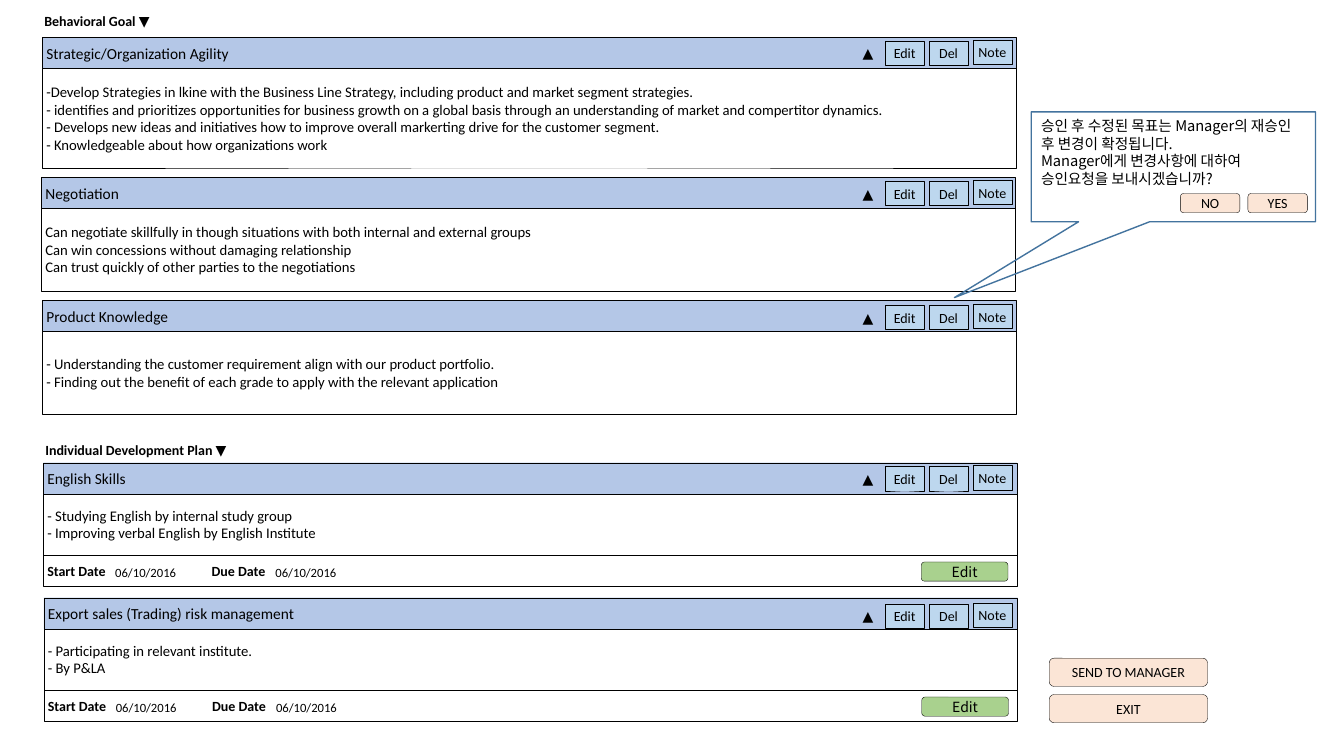
from dataclasses import dataclass

from lxml.etree import SubElement
from pptx import Presentation
from pptx.dml.color import RGBColor as Color
from pptx.enum.shapes import MSO_SHAPE as Kind
from pptx.enum.text import MSO_ANCHOR as Anchor, PP_ALIGN as Align
from pptx.oxml.ns import qn
from pptx.util import Inches, Pt


@dataclass(frozen=True)
class Theme:
    font: str = "Calibri"
    asian: str = "Noto Sans CJK KR"
    ink: str = "000000"
    head: str = "B4C7E7"
    tool: str = "BDD7EE"
    peach: str = "FBE5D6"
    green: str = "A9D18E"
    edge: str = "43739E"
    hair: float = 0.25
    title: float = 11
    body: float = 10.5
    small: float = 10
    date: float = 9


T = Theme()
CELL = 0.1  # inches per grid column and row
COLS, ROWS = 133.33, 75
BAR = 3.1   # rows of a title or date bar
WIDE = 96.6
DAY = "06/10/2016"

# column, row, body rows, row of the tools, title, lines, has dates
GOALS = [
    (4.2, 3.7, 9.9, 4.1, "Strategic/Organization Agility", [
        "-Develop Strategies in lkine with the Business Line Strategy, "
        "including product and market segment strategies.",
        "- identifies and prioritizes opportunities for business growth on a global "
        "basis through an understanding of market and compertitor dynamics.",
        "- Develops new ideas and initiatives how to improve overall "
        "markerting drive for the customer segment.",
        "- Knowledgeable about how organizations work"], False),
    (4.1, 17.6, 8.2, 18, "Negotiation", [
        "Can negotiate skillfully in though situations with both "
        "internal and external groups",
        "Can win concessions without damaging relationship",
        "Can trust quickly of other parties to the negotiations"], False),
    (4.2, 29.8, 8.2, 30.3, "Product Knowledge", [
        "- Understanding the customer requirement align with our product portfolio.",
        "- Finding out the benefit of each grade to apply with the "
        "relevant application"], False),
    (4.3, 45.9, 6.1, 46.3, "English Skills", [
        "- Studying English by internal study group",
        "- Improving verbal English by English Institute"], True),
    (4.35, 59.3, 6.1, 59.9, "Export sales (Trading) risk management", [
        "- Participating in relevant institute.",
        "- By P&LA"], True),
]


def grid(n):
    return Inches(n * CELL)


def write(shape, lines, size, align=Align.LEFT, font=T.font, bold=False,
          pad=(0.04, 0.04), anchor=Anchor.MIDDLE, tab=None):
    frame = shape.text_frame
    frame.word_wrap = True
    frame.vertical_anchor = anchor
    frame.margin_left = frame.margin_right = Inches(pad[0])
    frame.margin_top = frame.margin_bottom = Inches(pad[1])
    frame.text = "\n".join(lines)
    for para in frame.paragraphs:
        para.alignment = align
        if tab:
            stops = SubElement(para._p.get_or_add_pPr(), qn("a:tabLst"))
            SubElement(stops, qn("a:tab"), pos=str(grid(tab)), algn="l")
        for run in para.runs:
            run.font.size = Pt(size)
            run.font.bold = bold
            run.font.color.rgb = Color.from_string(T.ink)
            run.font.name = font
            SubElement(run._r.get_or_add_rPr(), qn("a:ea"), typeface=font)


def block(slide, box, lines, size, fill=None, kind=Kind.RECTANGLE,
          line=T.ink, width=T.hair, **style):
    shape = slide.shapes.add_shape(kind, *map(grid, box))
    shape.shadow.inherit = False
    if fill:
        shape.fill.solid()
        shape.fill.fore_color.rgb = Color.from_string(fill)
    else:
        shape.fill.background()
    shape.line.color.rgb = Color.from_string(line)
    shape.line.width = Pt(width)
    write(shape, lines, size, **style)
    return shape


def label(slide, box, text, size, **style):
    shape = slide.shapes.add_textbox(*map(grid, box))
    write(shape, [text], size, **style)
    return shape


def button(slide, box, text, fill=T.peach, font=T.font):
    block(slide, box, [text], T.small, fill, Kind.ROUNDED_RECTANGLE,
          align=Align.CENTER, font=font, pad=(0.02, 0))


def section(slide, box, text):
    """Bold heading with a light fold mark."""
    shape = label(slide, box, text, T.small, bold=True, pad=(0.02, 0.02))
    first = shape.text_frame.paragraphs[0]
    mark = first.add_run()
    mark.text = "▼"
    mark.font.size = Pt(T.small)
    mark.font.bold = False
    mark.font.name = T.font
    mark.font.color.rgb = Color.from_string(T.ink)


def tools(slide, box):
    """Fold mark and three buttons along a title bar."""
    x, y, w, h = box
    label(slide, (x, y - 0.15, 2.4, 2.7), "▲", T.small,
          align=Align.CENTER, pad=(0, 0))
    step = (w - 2.9) / 3
    for i, (name, lift) in enumerate([("Edit", 0), ("Del", 0), ("Note", 0.1)]):
        block(slide, (x + 2.9 + i * step, y - lift, 3.9, h), [name], T.small,
              T.tool, align=Align.CENTER)


def dates(slide, box):
    x, y, w, h = box
    block(slide, box, ["Start Date\tDue Date"], T.small, bold=True, tab=16.3)
    for left in (6.4, 22.3):
        label(slide, (x + left, y + 0.85, 7.5, 1.6), DAY, T.date,
              align=Align.CENTER)
    button(slide, (x + w - 9.5, y + 0.65, 8.6, 1.9), "Edit", T.green, T.asian)


def panel(slide, box, row, title, lines, dated):
    x, y, w, h = box
    block(slide, (x, y + BAR - 0.05, w, h), lines, T.body)
    block(slide, (x, y, w, BAR), [title], T.title, T.head)
    tools(slide, (84.9, row, 15.95, 2.4))
    if dated:
        dates(slide, (x, y + BAR + h, w, BAR))


def prompt(slide, box):
    x, y, w, h = box
    bubble = block(slide, box, [
        "승인 후 수정된 목표는 Manager의 재승인 후 변경이 확정됩니다.",
        "Manager에게 변경사항에 대하여 승인요청을 보내시겠습니까?"],
        T.body, kind=Kind.RECTANGULAR_CALLOUT, line=T.edge, width=1,
        font=T.asian, pad=(0.1, 0.05), anchor=Anchor.TOP)
    bubble.adjustments[0] = -0.77
    bubble.adjustments[1] = 1.19
    for i, name in enumerate(["NO", "YES"]):
        button(slide, (x + 14.8 + i * 6.7, y + 8.1, 5.9, 1.9), name)


def actions(slide, box):
    x, y, w, h = box
    for i, name in enumerate(["SEND TO MANAGER", "EXIT"]):
        button(slide, (x, y + i * (h - 2.8), w, 2.8), name)


def main():
    deck = Presentation()
    deck.slide_width, deck.slide_height = grid(COLS), grid(ROWS)
    slide = deck.slides.add_slide(deck.slide_layouts[6])
    section(slide, (4.2, 1, 16.6, 2.1), "Behavioral Goal ")
    section(slide, (4.3, 43.6, 22.6, 2.1), "Individual Development Plan ")
    for x, y, h, row, title, lines, dated in GOALS:
        panel(slide, (x, y, WIDE, h), row, title, lines, dated)
    prompt(slide, (102.3, 11.1, 28.2, 10.9))
    actions(slide, (104.1, 65.3, 15.7, 6.4))
    deck.save("out.pptx")


if __name__ == "__main__":
    main()
